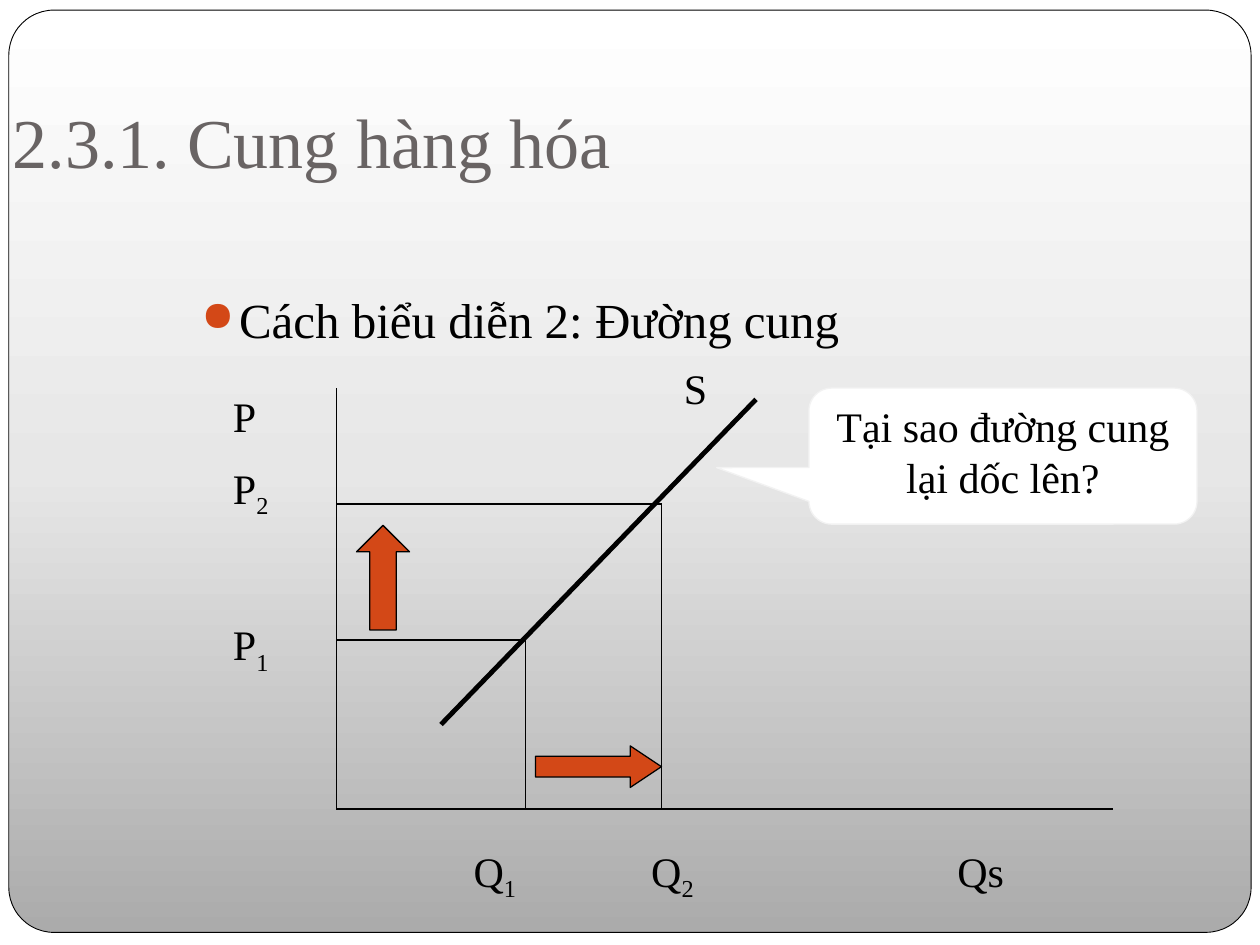
import copy
from dataclasses import dataclass

import pptx
import pptx.dml.color
import pptx.enum.shapes
import pptx.enum.text
import pptx.oxml
import pptx.oxml.ns
import pptx.util
from pptx.util import Inches, Pt

Shape = pptx.enum.shapes.MSO_SHAPE
Align = pptx.enum.text.PP_ALIGN
Anchor = pptx.enum.text.MSO_ANCHOR


@dataclass(frozen=True)
class Theme:
    font: str = "Times New Roman"
    title_size: float = 40
    body_size: float = 28
    label_size: float = 24
    thin: float = 0.75
    thick: float = 2.75
    ink: str = "000000"
    title: str = "696464"
    accent: str = "D34817"
    white: str = "FFFFFF"
    callout_edge: str = "F2F2F2"
    gradient: tuple = ((0, "ABABAB"), (0.5, "E7E7E7"), (1, "FFFFFF"))


THEME = Theme()
WIDTH, HEIGHT = 10, 7.5

TITLE = "2.3.1. Cung hàng hóa"
BULLET = "Cách biểu diễn 2: Đường cung"
QUESTION = "Tại sao đường cung lại dốc lên?"

# Chart geometry in inches
ORIGIN = (2.67, 6.42)
AXIS_TOP, AXIS_RIGHT = 3.08, 8.83
SUPPLY = ((3.5, 5.75), (6, 3.17))
POINTS = [(4.17, 5.08), (5.25, 4)]  # (quantity, price) on the supply curve

PRICE_LEFT, QUANTITY_TOP = 1.75, 6.66
LABELS = [  # text, subscript, left, top
    ("P", "", PRICE_LEFT, 3.05),
    ("P", "2", PRICE_LEFT, 3.62),
    ("P", "1", PRICE_LEFT, 4.86),
    ("Q", "1", 3.66, QUANTITY_TOP),
    ("Q", "2", 5.07, QUANTITY_TOP),
    ("Qs", "", 7.5, QUANTITY_TOP),
    ("S", "", 5.33, 2.83),
]
ARROWS = [  # preset, box, adjustments
    (Shape.RIGHT_ARROW, (4.25, 5.92, 1, 0.33), (0.5, 0.75)),
    (Shape.UP_ARROW, (2.83, 4.17, 0.42, 0.83), (0.5, 0.5)),
]


def color(value):
    return pptx.dml.color.RGBColor.from_string(value)


def style(font, size, value=THEME.ink):
    font.name, font.size = THEME.font, Pt(size)
    font.color.rgb = color(value)


def paint_gradient(fill):
    """Fill from dark at the bottom to white at the top."""
    fill.gradient()
    fill.gradient_angle = 90
    first = fill.gradient_stops[0]
    stop_list = fill._fill._gradFill.gsLst
    stop_list.insert(1, copy.deepcopy(stop_list[0]))
    for stop, (position, value) in zip(fill.gradient_stops, THEME.gradient):
        stop.position = position
        stop.color.rgb = color(value)


def add_shape(slide, preset, box, fill=None, line=THEME.ink, width=THEME.thin, adjustments=()):
    shape = slide.shapes.add_shape(preset, *map(Inches, box))
    shape.shadow.inherit = False
    if fill:
        shape.fill.solid()
        shape.fill.fore_color.rgb = color(fill)
    else:
        paint_gradient(shape.fill)
    shape.line.color.rgb = color(line)
    shape.line.width = Pt(width)
    for index, value in enumerate(adjustments):
        shape.adjustments[index] = value
    return shape


def add_line(slide, start, end, width=THEME.thin):
    line = slide.shapes.add_connector(
        pptx.enum.shapes.MSO_CONNECTOR.STRAIGHT, *map(Inches, (*start, *end)))
    line.line.color.rgb = color(THEME.ink)
    line.line.width = Pt(width)
    properties = line._element.spPr
    properties.append(pptx.oxml.parse_xml(
        f"<a:effectLst {pptx.oxml.ns.nsdecls('a')}/>"))


def add_text(slide, box):
    frame = slide.shapes.add_textbox(*map(Inches, box)).text_frame
    frame.word_wrap = True
    return frame.paragraphs[0]


def add_label(slide, text, subscript, left, top):
    paragraph = add_text(slide, (left, top, 0.75, 0.5))
    for content, offset in ((text, None), (subscript, "-25000")):
        if content:
            run = paragraph.add_run()
            run.text = content
            style(run.font, THEME.label_size)
            if offset:
                run.font._element.set("baseline", offset)


def add_title(slide):
    title = slide.shapes.title
    title.left, title.top, title.width, title.height = map(Inches, (0, 0.3, 9, 1.25))
    frame = title.text_frame
    frame.text = TITLE
    frame.vertical_anchor = Anchor.BOTTOM
    frame.margin_bottom = Inches(0.1)
    frame.paragraphs[0].alignment = Align.LEFT
    style(frame.paragraphs[0].runs[0].font, THEME.title_size, THEME.title)


def add_bullet(slide):
    paragraph = add_text(slide, (1.5, 2.25, 8.5, 0.6))
    paragraph.text = BULLET
    properties = paragraph._p.get_or_add_pPr()
    properties.set("marL", str(Inches(0.3)))
    properties.set("indent", str(Inches(-0.3)))
    namespace = pptx.oxml.ns.nsdecls("a")
    for xml in (
        f'<a:buClr {namespace}><a:srgbClr val="{THEME.accent}"/></a:buClr>',
        f'<a:buSzPct {namespace} val="85000"/>',
        f'<a:buChar {namespace} char="●"/>',
    ):
        properties.append(pptx.oxml.parse_xml(xml))
    style(paragraph.runs[0].font, THEME.body_size)


def add_callout(slide):
    callout = add_shape(slide, Shape.ROUNDED_RECTANGULAR_CALLOUT, (6.42, 3.08, 3.08, 1.08),
                        THEME.white, THEME.callout_edge, adjustments=(-0.738, 0.085, 0.167))
    frame = callout.text_frame
    frame.word_wrap = True
    frame.vertical_anchor = Anchor.TOP
    frame.text = QUESTION
    frame.paragraphs[0].alignment = Align.CENTER
    style(frame.paragraphs[0].runs[0].font, THEME.label_size)


def add_chart_lines(slide):
    left, bottom = ORIGIN
    add_line(slide, (left, AXIS_TOP), ORIGIN)
    add_line(slide, ORIGIN, (AXIS_RIGHT, bottom))
    for quantity, price in POINTS:
        add_line(slide, (left, price), (quantity, price))
        add_line(slide, (quantity, price), (quantity, bottom))
    add_line(slide, *SUPPLY, THEME.thick)


def main():
    presentation = pptx.Presentation()
    presentation.slide_width, presentation.slide_height = Inches(WIDTH), Inches(HEIGHT)
    slide = presentation.slides.add_slide(presentation.slide_layouts[5])
    slide.background.fill.solid()
    slide.background.fill.fore_color.rgb = color(THEME.white)

    add_shape(slide, Shape.ROUNDED_RECTANGLE, (0.07, 0.08, 9.86, 7.32),
              width=0.5, adjustments=(0.049,))
    # The title goes in front of the panel
    slide.shapes._spTree.append(slide.shapes.title._element)
    add_title(slide)
    add_bullet(slide)
    for preset, box, adjustments in ARROWS:
        add_shape(slide, preset, box, THEME.accent, adjustments=adjustments)
    add_chart_lines(slide)
    add_callout(slide)
    for label in LABELS:
        add_label(slide, *label)
    presentation.save("out.pptx")


if __name__ == "__main__":
    main()
